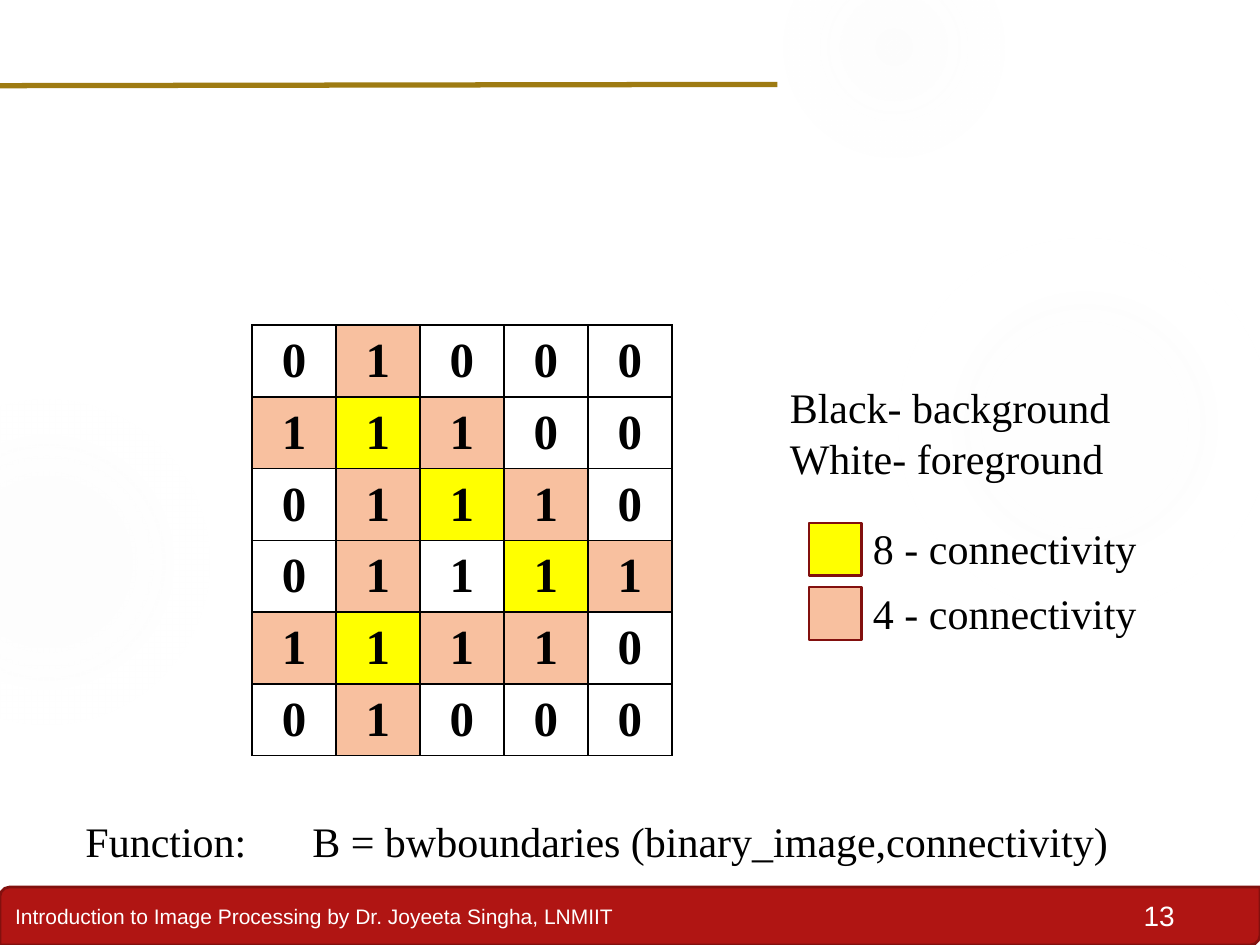
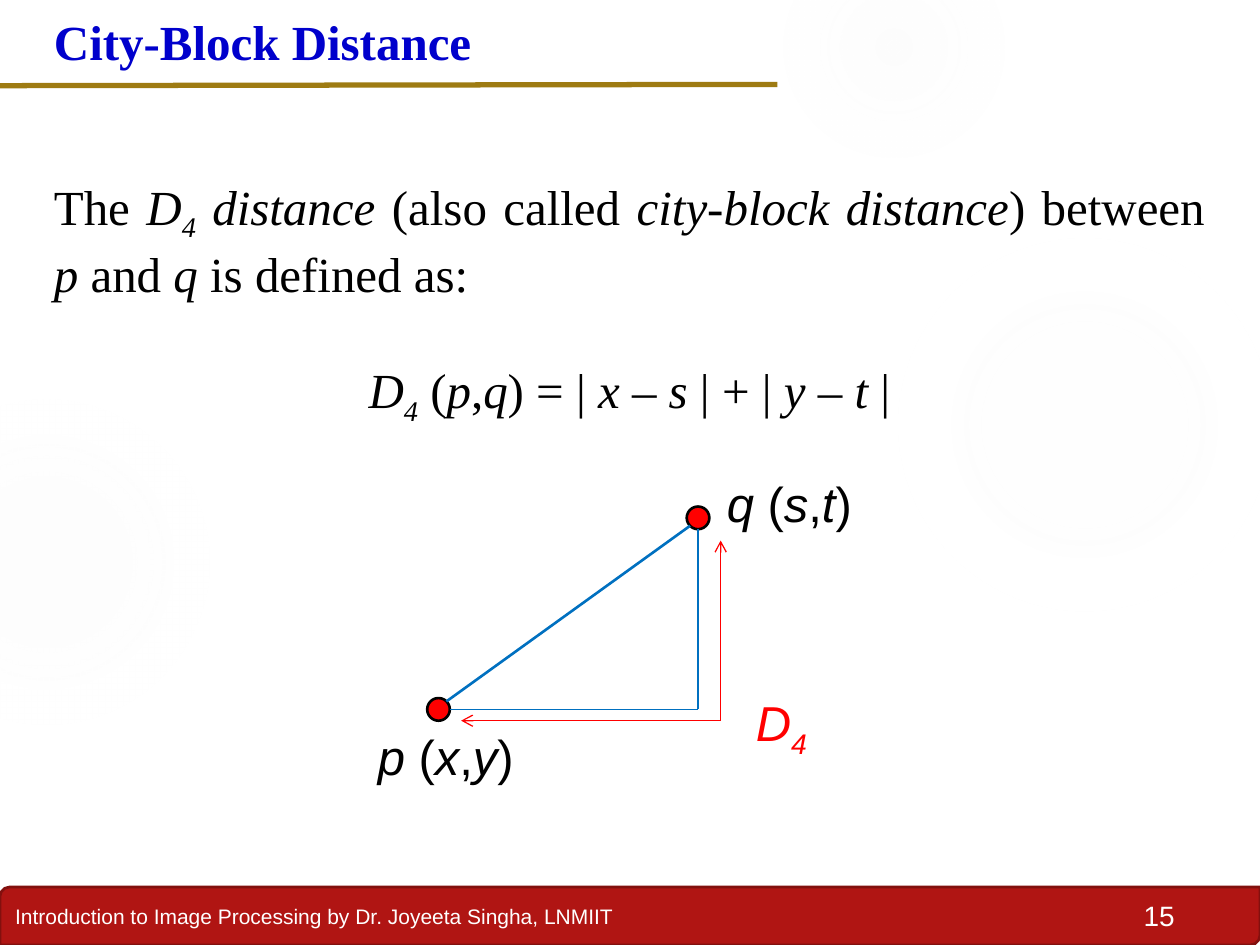
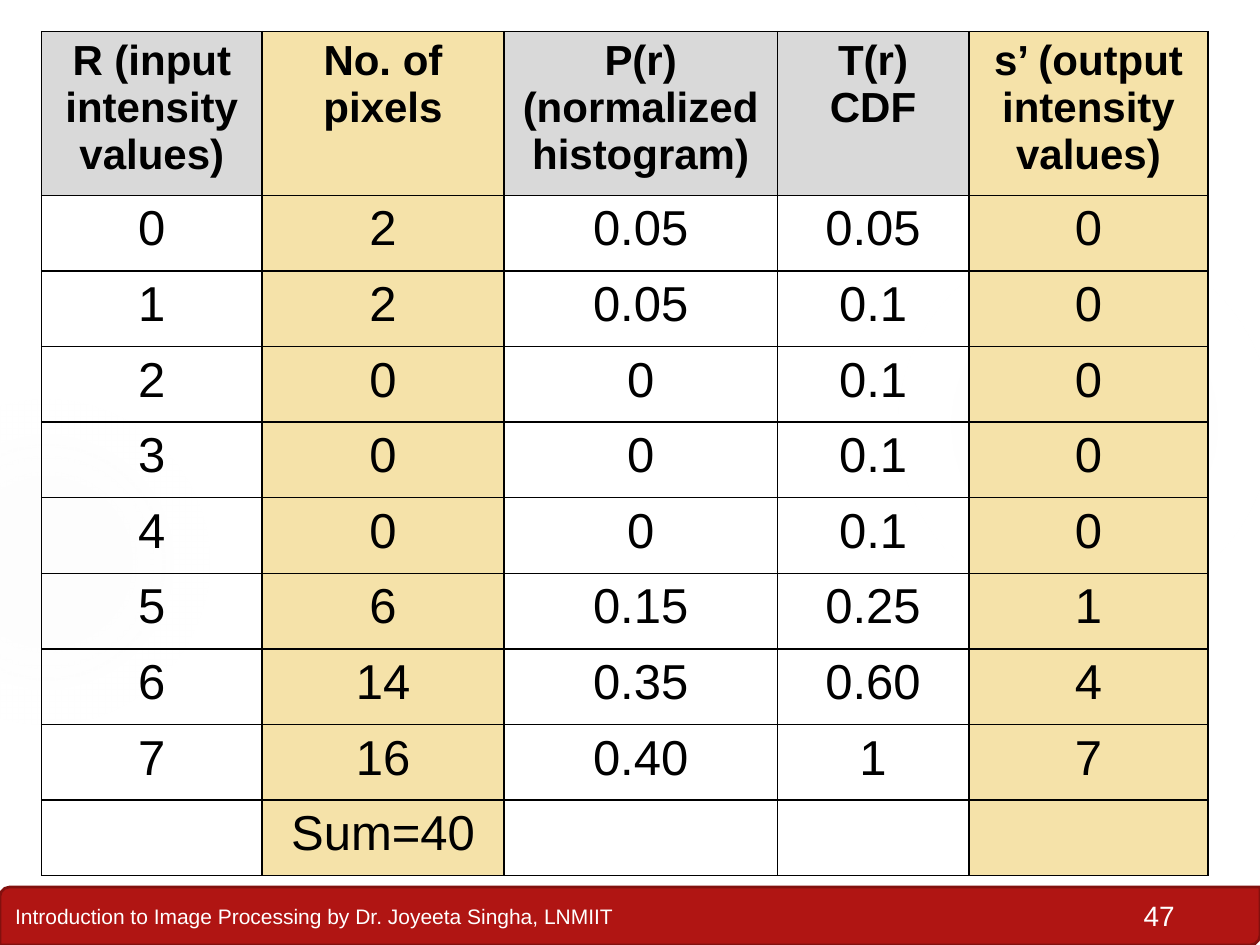
from pptx import Presentation
from pptx.dml.color import RGBColor as RGB
from pptx.enum.shapes import MSO_CONNECTOR as CONN, MSO_SHAPE as SHAPE
from pptx.enum.text import MSO_ANCHOR as ANCHOR, PP_ALIGN as ALIGN
from pptx.oxml import parse_xml
from pptx.oxml.ns import nsdecls
from pptx.util import Inches, Pt

# Shared look
WIDE, HIGH = 10, 7.5
HUE = {
    "black": "000000", "white": "FFFFFF", "red": "FF0000", "blue": "0070C0",
    "title": "0000CC", "band": "B01513", "edge": "82100E", "gold": "9E7B12",
    "glow": "F3F3F3", "yellow": "FFFF00", "peach": "F8C09F",
    "gray": "D9D9D9", "sand": "F5E2A9",
}
SANS, SERIF = "Arial", "Times New Roman"
BODY = {"name": SERIF, "size": 24}
BIG = {"name": SERIF, "size": 28}
LABEL = {"name": SANS, "size": 28}
HEAD = {"name": SANS, "size": 24, "bold": True}
SMALL = {"name": SANS, "size": 12, "color": "white"}
PAGE = {"name": SANS, "size": 16, "color": "white"}

FOOTER = "Introduction to Image Processing by Dr. Joyeeta Singha, LNMIIT"
BAND = 0.46
RULE = ((-0.02, 0.68), (6.17, 0.67))
# Soft circles: left, top, diameter, (stop %, opacity %)
TOP_GLOW = (6.22, -0.5, 1.75, ((0, 14), (36, 7), (73, 0)))
GLOWS = [
    (7.07, 1.83, 3.08, ((0, 7), (36, 6), (69, 0))),
    (-0.92, 3.17, 2.58, ((0, 8), (36, 8), (72, 0))),
]

# Slide 13: pixel values and their marks
BITS = ["01000", "11100", "01110", "01111", "11110", "01000"]
MARKS = [".p...", "pyp..", ".pyp.", ".p.yp", "pypp.", ".p..."]
MARK_HUE = {".": None, "p": "peach", "y": "yellow"}
KEYS = [("yellow", "8 - connectivity"), ("peach", "4 - connectivity")]
NOTE = "Black- background\nWhite- foreground"
CALL = "Function:\tB = bwboundaries (binary_image,connectivity)"

# Slide 15: * toggles italic, ~ toggles subscript
TITLE = "City-Block Distance"
RULE_TEXT = ("The *D~4~ distance *(also called *city-block distance*) between "
             "*p* and *q* is defined as:")
FORMULA = "*D~4~ *(*p*,*q*) = | *x* – *s *| + | *y* – *t *|"

# Slide 47: histogram table
HEADS = ["R (input intensity values)", "No. of pixels",
         "P(r) (normalized histogram)", "T(r)\nCDF",
         "s’ (output intensity values)"]
ROWS = [
    ["0", "2", "0.05", "0.05", "0"],
    ["1", "2", "0.05", "0.1", "0"],
    ["2", "0", "0", "0.1", "0"],
    ["3", "0", "0", "0.1", "0"],
    ["4", "0", "0", "0.1", "0"],
    ["5", "6", "0.15", "0.25", "1"],
    ["6", "14", "0.35", "0.60", "4"],
    ["7", "16", "0.40", "1", "7"],
    ["", "Sum=40", "", "", ""],
]
COLS = [1.75, 1.92, 2.17, 1.52, 1.9]
TINTED = (1, 4)


def rgb(name):
    return RGB.from_string(HUE[name])


def style(font, fmt):
    for key, val in fmt.items():
        if key == "color":
            font.color.rgb = rgb(val)
        else:
            setattr(font, key, Pt(val) if key == "size" else val)


def write(par, text, fmt, align=ALIGN.LEFT):
    par.alignment = align
    for i, part in enumerate(text.split("*")):
        for j, bit in enumerate(part.split("~")):
            if bit:
                run = par.add_run()
                run.text = bit
                style(run.font, {"color": "black", "bold": False,
                                 "italic": i % 2 == 1, **fmt})
                if j % 2:
                    run.font._element.set("baseline", "-25000")


def fill_text(frame, text, fmt, align=ALIGN.LEFT):
    for n, line in enumerate(text.split("\n")):
        par = frame.add_paragraph() if n else frame.paragraphs[0]
        write(par, line, fmt, align)


def add_text(slide, at, text, fmt, align=ALIGN.LEFT, wrap=True):
    frame = slide.shapes.add_textbox(*map(Inches, at)).text_frame
    frame.word_wrap = wrap
    fill_text(frame, text, fmt, align)
    return frame


def add_form(slide, kind, at, fill, line):
    form = slide.shapes.add_shape(kind, *map(Inches, at))
    form.shadow.inherit = False
    form.fill.solid()
    form.fill.fore_color.rgb = rgb(fill)
    form.line.color.rgb = rgb(line)
    form.line.width = Pt(1.5)
    return form


def add_line(slide, start, end, color, width, arrow=False):
    line = slide.shapes.add_connector(CONN.STRAIGHT, *map(Inches, start + end))
    line.line.color.rgb = rgb(color)
    line.line.width = Pt(width)
    if arrow:
        line.line._get_or_add_ln().append(
            parse_xml(f'<a:tailEnd {nsdecls("a")} type="arrow"/>'))
    line._element.spPr.append(parse_xml(f'<a:effectLst {nsdecls("a")}/>'))


def add_glow(slide, left, top, size, stops):
    disc = add_form(slide, SHAPE.OVAL, (left, top, size, size), "glow", "glow")
    disc.line.fill.background()
    marks = "".join(
        f'<a:gs pos="{pos * 1000}"><a:srgbClr val="{HUE["glow"]}">'
        f'<a:alpha val="{alpha * 1000}"/></a:srgbClr></a:gs>'
        for pos, alpha in stops)
    grad = parse_xml(
        f'<a:gradFill {nsdecls("a")}><a:gsLst>{marks}</a:gsLst>'
        '<a:path path="circle"><a:fillToRect l="50000" t="50000" '
        'r="50000" b="50000"/></a:path></a:gradFill>')
    props = disc._element.spPr
    props.replace(props.find(grad.tag.replace("gradFill", "solidFill")), grad)


def add_grid(slide, left, top, cols, rows):
    frame = slide.shapes.add_table(
        len(rows), len(cols), Inches(left), Inches(top),
        Inches(sum(cols)), Inches(sum(rows)))
    table = frame.table
    table.first_row = table.horz_banding = False
    for col, width in zip(table.columns, cols):
        col.width = Inches(width)
    for row, height in zip(table.rows, rows):
        row.height = Inches(height)
    return table


def set_cell(cell, text, fmt, hue, anchor=ANCHOR.TOP):
    cell.vertical_anchor = anchor
    props = cell._tc.get_or_add_tcPr()
    for side in "LRTB":
        props.append(parse_xml(
            f'<a:ln{side} {nsdecls("a")} w="{Pt(1)}"><a:solidFill>'
            f'<a:srgbClr val="{HUE["black"]}"/></a:solidFill></a:ln{side}>'))
    if hue:
        cell.fill.solid()
        cell.fill.fore_color.rgb = rgb(hue)
    else:
        cell.fill.background()
    fill_text(cell.text_frame, text, fmt, ALIGN.CENTER)


def new_slide(deck, page, header=True):
    slide = deck.slides.add_slide(deck.slide_layouts[6])
    band = add_form(slide, SHAPE.ROUND_2_DIAG_RECTANGLE,
                    (0, HIGH - BAND, WIDE, BAND), "band", "edge")
    band.text_frame.vertical_anchor = ANCHOR.MIDDLE
    fill_text(band.text_frame, FOOTER, SMALL)
    for glow in GLOWS + [TOP_GLOW] * header:
        add_glow(slide, *glow)
    add_text(slide, (8.67, 7.08, 0.75, 0.37), str(page), PAGE, ALIGN.RIGHT)
    if header:
        add_line(slide, *RULE, "gold", 3)
    return slide


def pixel_slide(deck):
    slide = new_slide(deck, 13)
    table = add_grid(slide, 2, 2.58, [2 / 3] * 5, [0.57] * 6)
    for r, (bits, marks) in enumerate(zip(BITS, MARKS)):
        for c, (bit, mark) in enumerate(zip(bits, marks)):
            set_cell(table.cell(r, c), bit, {**BIG, "bold": True},
                     MARK_HUE[mark], ANCHOR.MIDDLE)
    # Legend
    add_text(slide, (6.17, 2.98, 3.17, 1.31), NOTE, BODY)
    box, step = 0.42, 0.51
    for n, (hue, text) in enumerate(KEYS):
        top = 4.15 + n * step
        add_form(slide, SHAPE.RECTANGLE, (6.42, top, box, box), hue, "edge")
        add_text(slide, (6.83, top - 0.05, 2.58, 0.5), text, BODY)
    # Function call
    frame = add_text(slide, (0.58, 6.42, 8.75, 0.5), CALL, BODY)
    frame.paragraphs[0]._p.get_or_add_pPr().append(parse_xml(
        f'<a:tabLst {nsdecls("a")}><a:tab pos="{Inches(1.8)}" algn="l"/>'
        '</a:tabLst>'))


def distance_slide(deck):
    slide = new_slide(deck, 15)
    frame = add_text(slide, (0.33, 1.35, 9.33, 1.99), RULE_TEXT, BIG,
                     ALIGN.JUSTIFY)
    par = frame.add_paragraph()
    par.space_before = Pt(33)
    write(par, FORMULA, BIG, ALIGN.CENTER)
    add_text(slide, (0.33, 0.04, 3.55, 0.57), TITLE,
             {**BIG, "bold": True, "color": "title"}, wrap=False)
    # Triangle between the points p and q
    (px, py), (qx, qy), rad = (3.48, 5.63), (5.54, 4.11), 0.09
    for x, y in ((px, py), (qx, qy)):
        add_form(slide, SHAPE.OVAL, (x - rad, y - rad, 2 * rad, 2 * rad),
                 "red", "black")
    rim = rad * 0.7
    add_line(slide, (px + rim, py - rim), (qx - rim, qy + rim), "blue", 1.5)
    add_line(slide, (qx, qy + rad), (qx, py), "blue", 1)
    add_line(slide, (qx, py), (px + rad, py), "blue", 1)
    # City-block route
    turn = (qx + 2 * rad, py + rad)
    for end in ((turn[0], qy + 2 * rad), (px + 2 * rad, turn[1])):
        add_line(slide, turn, end, "red", 0.75, arrow=True)
    # Labels
    add_text(slide, (2.9, 5.72, 1.52, 0.61), "*p* (*x*,*y*)", LABEL)
    add_text(slide, (5.67, 3.71, 1.43, 0.61), "*q* (*s*,*t*)", LABEL)
    add_text(slide, (5.9, 5.45, 0.72, 0.43), "*D~4~*",
             {**LABEL, "color": "red"})


def table_slide(deck):
    slide = new_slide(deck, 47, header=False)
    table = add_grid(slide, 0.33, 0.25, COLS, [1.3] + [0.6] * len(ROWS))
    for r, row in enumerate([HEADS] + ROWS):
        for c, text in enumerate(row):
            hue = "sand" if c in TINTED else None if r else "gray"
            set_cell(table.cell(r, c), text, LABEL if r else HEAD, hue)


def main():
    deck = Presentation()
    deck.slide_width, deck.slide_height = Inches(WIDE), Inches(HIGH)
    for build in (pixel_slide, distance_slide, table_slide):
        build(deck)
    deck.save("out.pptx")


if __name__ == "__main__":
    main()
